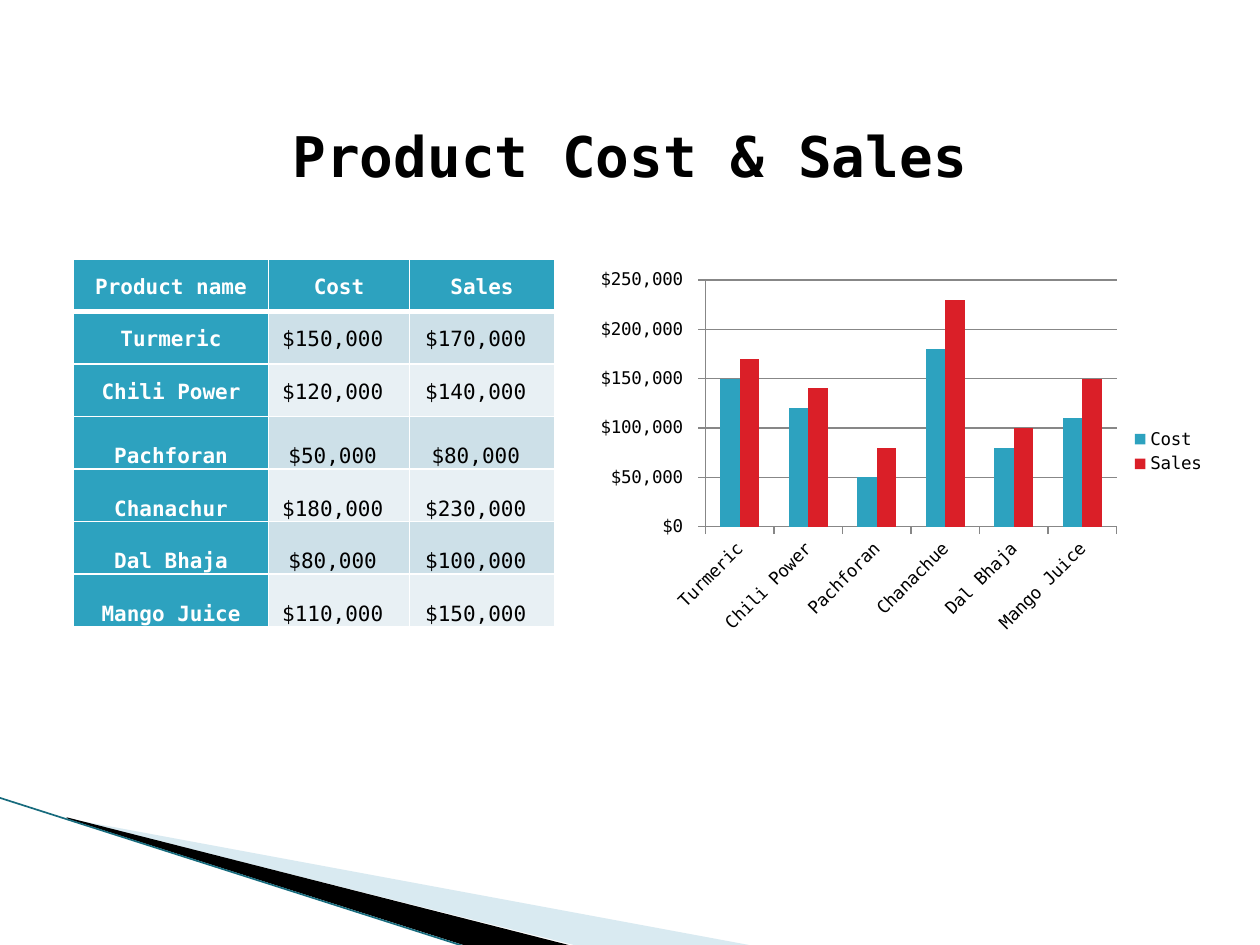
from dataclasses import dataclass

from lxml.etree import SubElement
from pptx import Presentation
from pptx.chart.data import CategoryChartData
from pptx.dml.color import RGBColor
from pptx.enum.chart import XL_CHART_TYPE as CT, XL_LEGEND_POSITION as LP, XL_TICK_MARK as TM
from pptx.enum.shapes import MSO_CONNECTOR
from pptx.enum.text import MSO_ANCHOR as MA, PP_ALIGN
from pptx.oxml.ns import qn
from pptx.util import Pt


@dataclass(frozen=True)
class Theme:
    font: str = "DejaVu Sans Mono"
    black: str = "000000"
    white: str = "FFFFFF"
    teal: str = "2DA2BF"
    red: str = "DA1F28"
    bands: tuple = ("CDE0E8", "E8F0F4")
    pale: str = "A0CBDC"
    edge: str = "176B7D"
    grid: str = "878787"
    title: int = 32
    body: int = 12
    chart: int = 10


def rgb(value):
    return RGBColor.from_string(value)


class SlideBuilder:
    def __init__(self, slide, theme):
        self.s, self.t = slide, theme

    def style(self, font, size, color, bold=False):
        font.name, font.size, font.bold = self.t.font, Pt(size), bold
        font.color.rgb = rgb(color)

    def wedge(self, points, color, alpha=None):
        fb = self.s.shapes.build_freeform(*points[0], scale=Pt(1))
        fb.add_line_segments(points[1:], close=True)
        sp = fb.convert_to_shape()
        sp.shadow.inherit = False
        sp.line.fill.background()
        sp.fill.solid()
        sp.fill.fore_color.rgb = rgb(color)
        if alpha is not None:
            clr = sp.fill._xPr.find(qn("a:solidFill"))[0]
            SubElement(clr, qn("a:alpha"), val=str(alpha * 1000))

    def line(self, x1, y1, x2, y2, color, width):
        cx = self.s.shapes.add_connector(MSO_CONNECTOR.STRAIGHT, Pt(x1), Pt(y1), Pt(x2), Pt(y2))
        cx.line.color.rgb, cx.line.width = rgb(color), Pt(width)
        SubElement(cx._element.spPr, qn("a:effectLst"))

    def title(self, text, x, y, w, h):
        tf = self.s.shapes.add_textbox(Pt(x), Pt(y), Pt(w), Pt(h)).text_frame
        tf.word_wrap = True
        tf.text = text
        p = tf.paragraphs[0]
        p.alignment = PP_ALIGN.CENTER
        self.style(p.runs[0].font, self.t.title, self.t.black, True)

    def borders(self, cell, widths):
        tcPr = cell._tc.get_or_add_tcPr()
        for side, width in zip("LRTB", widths):
            ln = SubElement(tcPr, qn(f"a:ln{side}"), w=str(Pt(width)))
            SubElement(SubElement(ln, qn("a:solidFill")), qn("a:srgbClr"), val=self.t.white)

    def cell(self, cell, text, fill, color, bold, anchor, widths):
        cell.text = text
        cell.vertical_anchor = anchor
        cell.margin_left = cell.margin_right = Pt(5)
        cell.margin_top = cell.margin_bottom = 0
        p = cell.text_frame.paragraphs[0]
        p.alignment, p.line_spacing = PP_ALIGN.CENTER, 1.15
        self.style(p.runs[0].font, self.t.body, color, bold)
        self.borders(cell, widths)
        cell.fill.solid()
        cell.fill.fore_color.rgb = rgb(fill)

    def table(self, rows, x, y, widths, row_h):
        t = self.t
        tbl = self.s.shapes.add_table(len(rows), len(widths), Pt(x), Pt(y),
                                      Pt(sum(widths)), Pt(row_h * len(rows))).table
        for col, width in zip(tbl.columns, widths):
            col.width = Pt(width)
        for i, row in enumerate(rows):
            tbl.rows[i].height = Pt(row_h)
            anchor = MA.MIDDLE if i < 3 else MA.BOTTOM
            edges = (1, 1, 3 if i == 1 else 1, 3 if i == 0 else 1)
            for j, text in enumerate(row):
                head = i == 0 or j == 0
                fill = t.teal if head else t.bands[(i - 1) % 2]
                color = t.white if head else t.black
                self.cell(tbl.cell(i, j), text, fill, color, head, anchor, edges)

    def chart(self, cats, series, fmt, x, y, w, h):
        t = self.t
        data = CategoryChartData(number_format=fmt)
        data.categories = cats
        for name, values, _ in series:
            data.add_series(name, values)
        ch = self.s.shapes.add_chart(CT.COLUMN_CLUSTERED, Pt(x), Pt(y), Pt(w), Pt(h), data).chart
        self.style(ch.font, t.chart, t.black)
        ch.has_title = False
        ch.has_legend = True
        ch.legend.position, ch.legend.include_in_layout = LP.RIGHT, False
        plot = ch.plots[0]
        plot.gap_width, plot.vary_by_categories = 150, False
        for ser, (_, _, color) in zip(plot.series, series):
            ser.format.fill.solid()
            ser.format.fill.fore_color.rgb = rgb(color)
        val = ch.value_axis
        val.has_major_gridlines = True
        val.tick_labels.number_format = fmt
        val.tick_labels.number_format_is_linked = False
        for axis in (ch.category_axis, val):
            axis.major_tick_mark = TM.OUTSIDE
        for part in (ch.category_axis, val, val.major_gridlines):
            part.format.line.color.rgb = rgb(t.grid)
            part.format.line.width = Pt(0.75)


def main():
    theme = Theme()
    prs = Presentation()
    prs.slide_width, prs.slide_height = Pt(720), Pt(540)
    b = SlideBuilder(prs.slides.add_slide(prs.slide_layouts[6]), theme)

    b.wedge([(39.6, 468.5), (428.4, 540.5), (328.3, 540.5), (39.6, 468)], theme.pale, 40)
    b.wedge([(38.2, 467.3), (329, 540.7), (267.8, 541.4), (38.9, 468)], theme.black)
    b.line(-0.5, 455.8, 267.3, 541.4, theme.edge, 0.95)

    b.title("Product Cost & Sales", 96, 66, 528, 46)

    products = ["Turmeric", "Chili Power", "Pachforan", "Chanachur", "Dal Bhaja", "Mango Juice"]
    costs = [150000, 120000, 50000, 180000, 80000, 110000]
    sales = [170000, 140000, 80000, 230000, 100000, 150000]
    rows = [("Product name", "Cost", "Sales")]
    rows += [(n, f"${c:,} ", f"${v:,} ") for n, c, v in zip(products, costs, sales)]
    b.table(rows, 42, 148, (111.5, 80.5, 83), 30)

    cats = ["Chanachue" if n == "Chanachur" else n for n in products]
    b.chart(cats, [("Cost", costs, theme.teal), ("Sales", sales, theme.red)],
            '"$"#,##0_);[Red]\\("$"#,##0\\)', 336, 150, 360, 216)

    prs.save("out.pptx")


if __name__ == "__main__":
    main()
